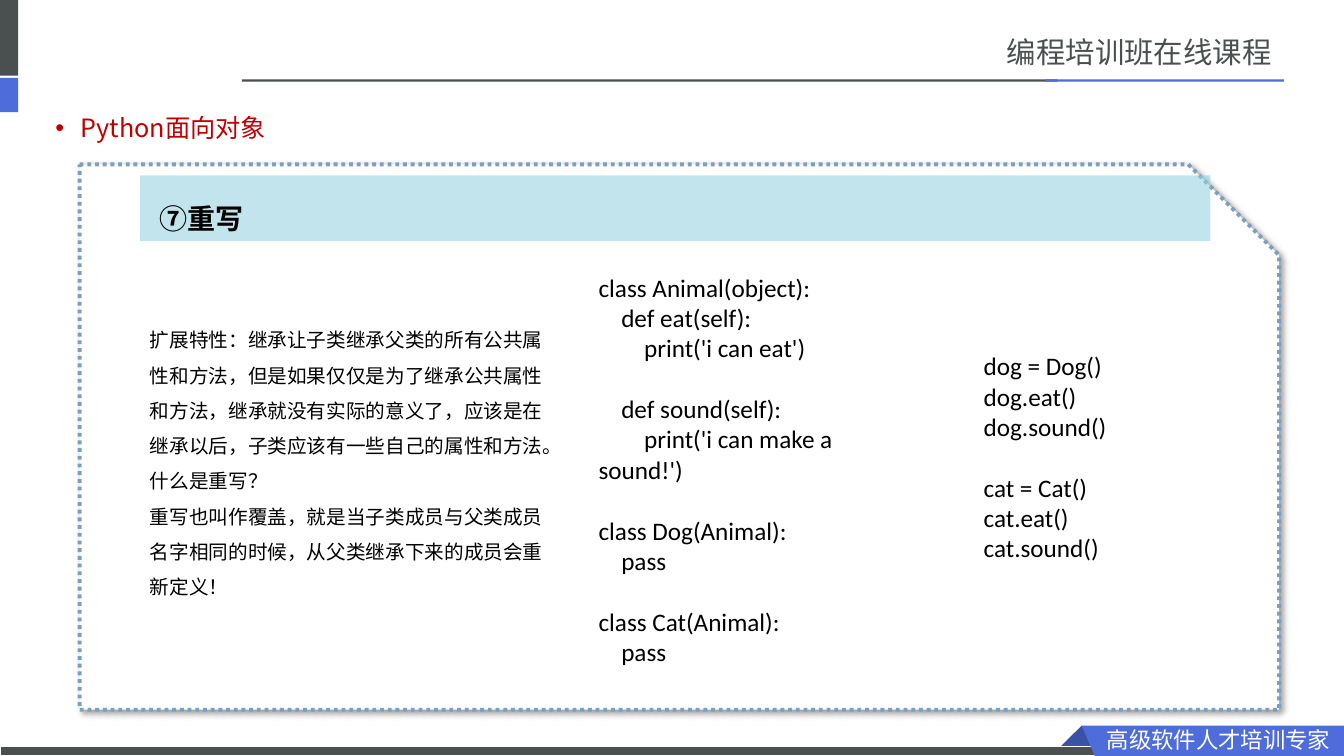
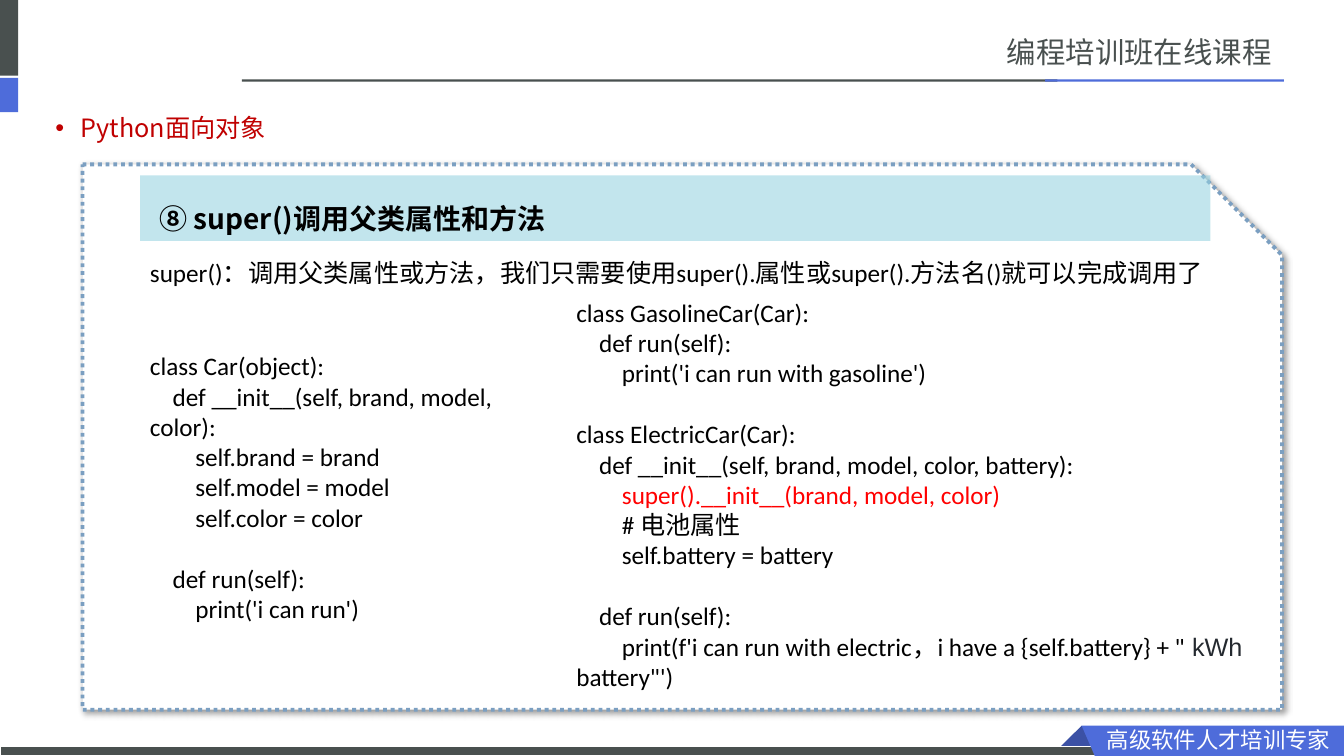
from lxml.etree import SubElement
from pptx import Presentation
from pptx.dml.color import RGBColor
from pptx.enum.dml import MSO_LINE
from pptx.enum.shapes import MSO_SHAPE
from pptx.enum.text import MSO_ANCHOR, MSO_AUTO_SIZE, PP_ALIGN
from pptx.oxml.ns import qn
from pptx.util import Pt

# Shared style
SANS, HEAD, CODE = "Noto Sans CJK SC", "Noto Sans CJK JP", "Calibri"
DARK, BLUE, NAVY, WHITE, BLACK = "49504F", "4E6CDA", "3B51A5", "FFFFFF", "000000"
RED, EDGE, BAND = "C00000", "7B9FC1", "94D2E0"
LINE = 22  # height of one line of code

TOPIC = "Python面向对象"
BRAND = "编程培训班在线课程"
MOTTO = "高级软件人才培训专家"

# Left, top, width, height, fill
BARS = [
    (0, 0, 13, 54, DARK),
    (172.8, 56.7, 582.5, 1.6, DARK),
    (746.6, 56.7, 170.6, 1.6, BLUE),
    (0, 55.6, 13, 24.5, BLUE),
]
FOLD = [(772.6, 518.4), (788.4, 534.2), (787.7, 535), (757.4, 535), (756.7, 534.2)]
FLAG = [(772.6, 518.4), (960, 518.4), (960, 540), (782, 540)]

# Pieces of code that stand out: font, colour
MARKS = {
    "super().__init__(brand, model, color)": (CODE, "FF0000"),
    " kWh": ("Arial", "24292F"),
}

NOTES = """扩展特性：继承让子类继承父类的所有公共属性和方法，但是如果仅仅是为了继承公共属性和方法，继承就没有实际的意义了，应该是在继承以后，子类应该有一些自己的属性和方法。
什么是重写？
重写也叫作覆盖，就是当子类成员与父类成员名字相同的时候，从父类继承下来的成员会重新定义！"""

ANIMAL = """class Animal(object):
    def eat(self):
        print('i can eat')

    def sound(self):
        print('i can make a sound!')

class Dog(Animal):
    pass

class Cat(Animal):
    pass"""

CALLS = """dog = Dog()
dog.eat()
dog.sound()

cat = Cat()
cat.eat()
cat.sound()"""

SUPER = "super()：调用父类属性或方法，我们只需要使用super().属性或super().方法名()就可以完成调用了"

CAR = """class Car(object):
    def __init__(self, brand, model, color):
        self.brand = brand
        self.model = model
        self.color = color

    def run(self):
        print('i can run')"""

KINDS = """class GasolineCar(Car):
    def run(self):
        print('i can run with gasoline')

class ElectricCar(Car):
    def __init__(self, brand, model, color, battery):
        super().__init__(brand, model, color)
        # 电池属性
        self.battery = battery

    def run(self):
        print(f'i can run with electric，i have a {self.battery} + " kWh battery"')"""

# Each block: text, place, font, size, line spacing
SLIDES = [
    {"title": "⑦重写", "left": 56.9, "blocks": [
        (NOTES, (100, 222.5, 305.3, 208.8), SANS, 14, 1.5),
        (ANIMAL, (420.5, 190.8, 242.6, 269.3), CODE, 18, None),
        (CALLS, (695.5, 247, 196.6, 159.8), CODE, 18, None),
    ]},
    {"title": "⑧ super()调用父类属性和方法", "left": 59, "blocks": [
        (SUPER, (100, 180, 779, 50), CODE, 18, None),
        (CAR, (100, 247, 306.7, 181.4), CODE, 18, None),
        (KINDS, (404.6, 208.8, 555, 290.9), CODE, 18, None),
    ]},
]


def rgb(code):
    return RGBColor.from_string(code)


def pts(nums):
    return [Pt(n) for n in nums]


def paint(shape, fill):
    shape.shadow.inherit = False
    shape.fill.solid()
    shape.fill.fore_color.rgb = rgb(fill)
    shape.line.fill.background()
    return shape


def block(slide, kind, place, fill):
    return paint(slide.shapes.add_shape(kind, *pts(place)), fill)


def outline(slide, dots, fill):
    first, *rest = [pts(dot) for dot in dots]
    pen = slide.shapes.build_freeform(*first, scale=1.0)
    pen.add_line_segments(rest, close=True)
    paint(pen.convert_to_shape(), fill)


def style(para, face, size, color, bold=False):
    font = para.font
    font.name, font.size, font.bold = face, Pt(size), bold
    font.color.rgb = rgb(color)
    # East Asian face
    props = para._p.get_or_add_pPr().find(qn("a:defRPr"))
    SubElement(props, qn("a:ea"), typeface=HEAD if face == HEAD else SANS)


def fill_line(para, line):
    mark = next((m for m in MARKS if m in line), None)
    if not mark:
        para.add_run().text = line
        return
    for part in line.partition(mark):
        if part:
            run = para.add_run()
            run.text = part
            if part == mark:
                run.font.name = MARKS[mark][0]
                run.font.color.rgb = rgb(MARKS[mark][1])


def write(slide, text, place, face, size, color=BLACK, space=None, inset=None):
    frame = slide.shapes.add_textbox(*pts(place)).text_frame
    frame.word_wrap = True
    if inset:
        frame.margin_left = frame.margin_right = Pt(inset)
        frame.margin_top = frame.margin_bottom = Pt(inset)
    para, gap = None, 0
    for line in text.split("\n"):
        if not line:
            gap = LINE
            continue
        para = frame.add_paragraph() if para else frame.paragraphs[0]
        if gap:
            para.space_before = Pt(gap)
            gap = 0
        if space:
            para.line_spacing = space
        fill_line(para, line)
        style(para, face, size, color)
    return frame


def add_base(slide):
    for *place, fill in BARS:
        block(slide, MSO_SHAPE.RECTANGLE, place, fill)
    # Footer
    outline(slide, FOLD, NAVY)
    base = block(slide, MSO_SHAPE.RECTANGLE, (0, 533.5, 791.3, 6.5), DARK)
    base.line.color.rgb = rgb(WHITE)
    base.line.width = Pt(0.75)
    outline(slide, FLAG, BLUE)
    write(slide, MOTTO, (787, 514.8, 169.2, 25.2), SANS, 16, WHITE, inset=3.6)
    # Header
    write(slide, BRAND, (715.7, 20.9, 201.6, 32.4), SANS, 21, DARK, inset=3.6)


def add_frame(slide, left):
    card = block(slide, MSO_SHAPE.SNIP_1_RECTANGLE, (left, 117.4, 856.8, 389.5), WHITE)
    card.line.color.rgb = rgb(EDGE)
    card.line.width = Pt(2.75)
    card.line.dash_style = MSO_LINE.ROUND_DOT
    fx = card.element.spPr.find(qn("a:effectLst"))
    shade = SubElement(fx, qn("a:outerShdw"), blurRad=str(Pt(4)), dist=str(Pt(3)),
                       dir="2700000", algn="tl", rotWithShape="0")
    tint = SubElement(shade, qn("a:srgbClr"), val=BLACK)
    SubElement(tint, qn("a:alpha"), val="40000")


def add_topic(slide):
    frame = slide.shapes.add_textbox(*pts((36, 79.2, 842.4, 27.4))).text_frame
    frame.word_wrap = True
    frame.margin_left = frame.margin_right = Pt(3.6)
    para = frame.paragraphs[0]
    para.add_run().text = TOPIC
    para.line_spacing = 0.9
    props = para._p.get_or_add_pPr()
    props.set("marL", str(Pt(18)))
    props.set("indent", str(Pt(-18)))
    SubElement(props, qn("a:buFont"), typeface="Arial")
    SubElement(props, qn("a:buChar"), char="•")
    style(para, HEAD, 18, RED)


def add_title(slide, text):
    band = block(slide, MSO_SHAPE.RECTANGLE, (100, 125.3, 764.6, 46.8), BAND)
    tint = band.element.spPr.find(qn("a:solidFill"))[0]
    SubElement(tint, qn("a:alpha"), val="56000")
    # Bring the title in front of the band
    title = slide.shapes.title
    title.element.getparent().append(title.element)
    title.left, title.top, title.width, title.height = pts((106.6, 133.2, 746.6, 51.1))
    frame = title.text_frame
    frame.text = text
    frame.word_wrap = True
    frame.auto_size = MSO_AUTO_SIZE.NONE
    frame.vertical_anchor = MSO_ANCHOR.TOP
    para = frame.paragraphs[0]
    para.alignment = PP_ALIGN.LEFT
    para.line_spacing = Pt(31.4)
    style(para, SANS, 20, BLACK, True)


def main():
    deck = Presentation()
    deck.slide_width, deck.slide_height = Pt(960), Pt(540)
    for page in SLIDES:
        slide = deck.slides.add_slide(deck.slide_layouts[5])
        add_base(slide)
        add_frame(slide, page["left"])
        add_topic(slide)
        add_title(slide, page["title"])
        for text, place, face, size, space in page["blocks"]:
            write(slide, text, place, face, size, space=space)
    deck.save("out.pptx")


if __name__ == "__main__":
    main()
